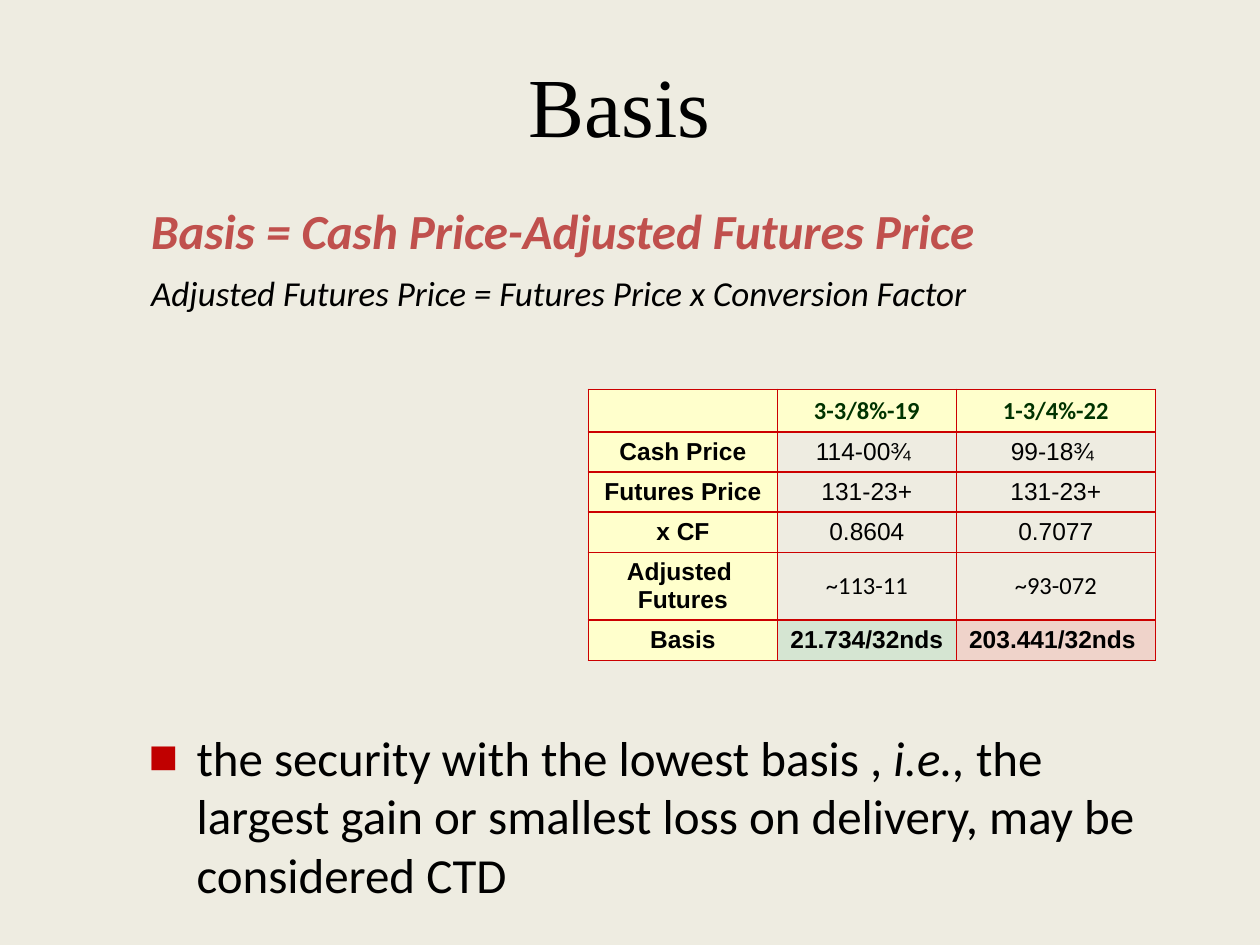
from lxml import etree
from pptx import Presentation
from pptx.dml.color import RGBColor
from pptx.enum.text import MSO_ANCHOR, MSO_AUTO_SIZE, PP_ALIGN
from pptx.oxml.ns import qn
from pptx.util import Inches, Pt

CENTER = PP_ALIGN.CENTER
LEFT = PP_ALIGN.LEFT
MIDDLE = MSO_ANCHOR.MIDDLE
NO_FIT = MSO_AUTO_SIZE.NONE

COLORS = {
    "page": "EEECE1", "ink": "000000", "formula": "C0504D", "bullet": "C00000",
    "border": "CC0000", "label": "FFFFCC", "header": "003300",
    "gain": "00B050", "loss": "FF0000",
}
COLUMNS = (1.5, 1.42, 1.58)
ROW_HEIGHTS = (0.29, 0.29, 0.29, 0.29, 0.49, 0.29)
PRICES = (
    ("", "3-3/8%-19", "1-3/4%-22"),
    ("Cash Price", "114-00¾ ", "99-18¾ "),
    ("Futures Price", "131-23+", "131-23+"),
    ("x CF", "0.8604", "0.7077"),
    ("Adjusted \nFutures", "~113-11", "~93-072"),
    ("Basis", "21.734/32nds", "203.441/32nds "),
)
HEADER_ROW, ADJUSTED_ROW, BASIS_ROW = 0, 4, 5


def color(name):
    return RGBColor.from_string(COLORS[name])


def place(holder, box):
    holder.left, holder.top, holder.width, holder.height = map(Inches, box)
    holder.text_frame.auto_size = NO_FIT
    holder.text_frame.word_wrap = True
    return holder.text_frame


def style(para, size, face, ink, bold=False, italic=None, align=LEFT):
    para.alignment = align
    font = para.font
    font.size, font.name, font.bold, font.italic = Pt(size), face, bold, italic
    font.color.rgb = color(ink)


def set_bullet(para, indent, symbol=None):
    properties = para._p.get_or_add_pPr()
    properties.set("marL", str(Inches(indent)))
    properties.set("indent", str(-Inches(indent) if symbol else 0))
    if symbol is None:
        etree.SubElement(properties, qn("a:buNone"))
        return
    tint = etree.SubElement(properties, qn("a:buClr"))
    etree.SubElement(tint, qn("a:srgbClr"), val=COLORS["bullet"])
    etree.SubElement(properties, qn("a:buFont"), typeface="Arial")
    etree.SubElement(properties, qn("a:buChar"), char=symbol)


def add_title(holder, box):
    frame = place(holder, box)
    frame.text = "Basis "
    frame.vertical_anchor = MIDDLE
    frame.margin_bottom = Inches(0.25)
    style(frame.paragraphs[0], 48, "Times New Roman", "ink", align=CENTER)


def add_formulas(holder, box):
    frame = place(holder, box)
    frame.text = ("Basis = Cash Price-Adjusted Futures Price\n"
                  "Adjusted Futures Price = Futures Price x Conversion Factor")
    basis, adjusted = frame.paragraphs
    for para in (basis, adjusted):
        set_bullet(para, 0.19)
    style(basis, 28, "Calibri", "formula", bold=True, italic=True)
    style(adjusted, 20, "Calibri", "ink", italic=True)
    basis.space_before, basis.space_after = Pt(0), Pt(4)
    adjusted.space_before = Pt(3)


def add_conclusion(holder, box):
    para = place(holder, box).paragraphs[0]
    set_bullet(para, 0.38, "■")
    style(para, 28, "Calibri", "ink")
    para.space_before = Pt(0)
    for text, italic in (
        ("the security with the lowest basis , ", False),
        ("i.e., ", True),
        ("the largest gain or smallest loss on delivery, may be considered CTD", False),
    ):
        span = para.add_run()
        span.text = text
        span.font.italic = italic


def set_borders(cell):
    properties = cell._tc.get_or_add_tcPr()
    for side in ("lnL", "lnR", "lnT", "lnB"):
        line = etree.SubElement(properties, qn(f"a:{side}"), w=str(Pt(1)))
        fill = etree.SubElement(line, qn("a:solidFill"))
        etree.SubElement(fill, qn("a:srgbClr"), val=COLORS["border"])


def set_fill(cell, name, opacity=100):
    cell.fill.solid()
    cell.fill.fore_color.rgb = color(name)
    if opacity < 100:
        tint = cell._tc.tcPr.find(f"{qn('a:solidFill')}/{qn('a:srgbClr')}")
        etree.SubElement(tint, qn("a:alpha"), val=str(opacity * 1000))


def format_cell(cell, row, column):
    set_borders(cell)
    if row == HEADER_ROW or column == 0:
        set_fill(cell, "label")
    elif row == BASIS_ROW:
        set_fill(cell, "gain" if column == 1 else "loss", 10)
    else:
        cell.fill.background()
    calibri = row == HEADER_ROW or (row == ADJUSTED_ROW and column > 0)
    bold = row in (HEADER_ROW, BASIS_ROW) or column == 0
    cell.vertical_anchor = MIDDLE
    for para in cell.text_frame.paragraphs:
        style(para, 14, "Calibri" if calibri else "Arial",
              "header" if row == HEADER_ROW else "ink", bold, align=CENTER)
        if not para.text:
            etree.SubElement(para._p, qn("a:endParaRPr"), sz="1400")


def add_price_table(page, box):
    table = page.shapes.add_table(
        len(PRICES), len(COLUMNS), *map(Inches, box)).table
    for column, width in zip(table.columns, COLUMNS):
        column.width = Inches(width)
    for row, height in zip(table.rows, ROW_HEIGHTS):
        row.height = Inches(height)
    for row, values in enumerate(PRICES):
        for column, value in enumerate(values):
            cell = table.cell(row, column)
            cell.text = value
            format_cell(cell, row, column)


def main():
    deck = Presentation()
    deck.slide_width, deck.slide_height = Inches(10), Inches(7.5)
    page = deck.slides.add_slide(deck.slide_layouts.get_by_name("Two Content"))
    page.background.fill.solid()
    page.background.fill.fore_color.rgb = color("page")
    title, formulas, conclusion = list(page.placeholders)[:3]
    add_title(title, (0.5, 0.3, 9, 1.25))
    add_formulas(formulas, (0.91, 1.54, 8.03, 2.33))
    add_price_table(page, (4.67, 3.09, sum(COLUMNS), sum(ROW_HEIGHTS)))
    add_conclusion(conclusion, (1.08, 5.72, 8.03, 2.33))
    deck.save("out.pptx")


if __name__ == "__main__":
    main()
